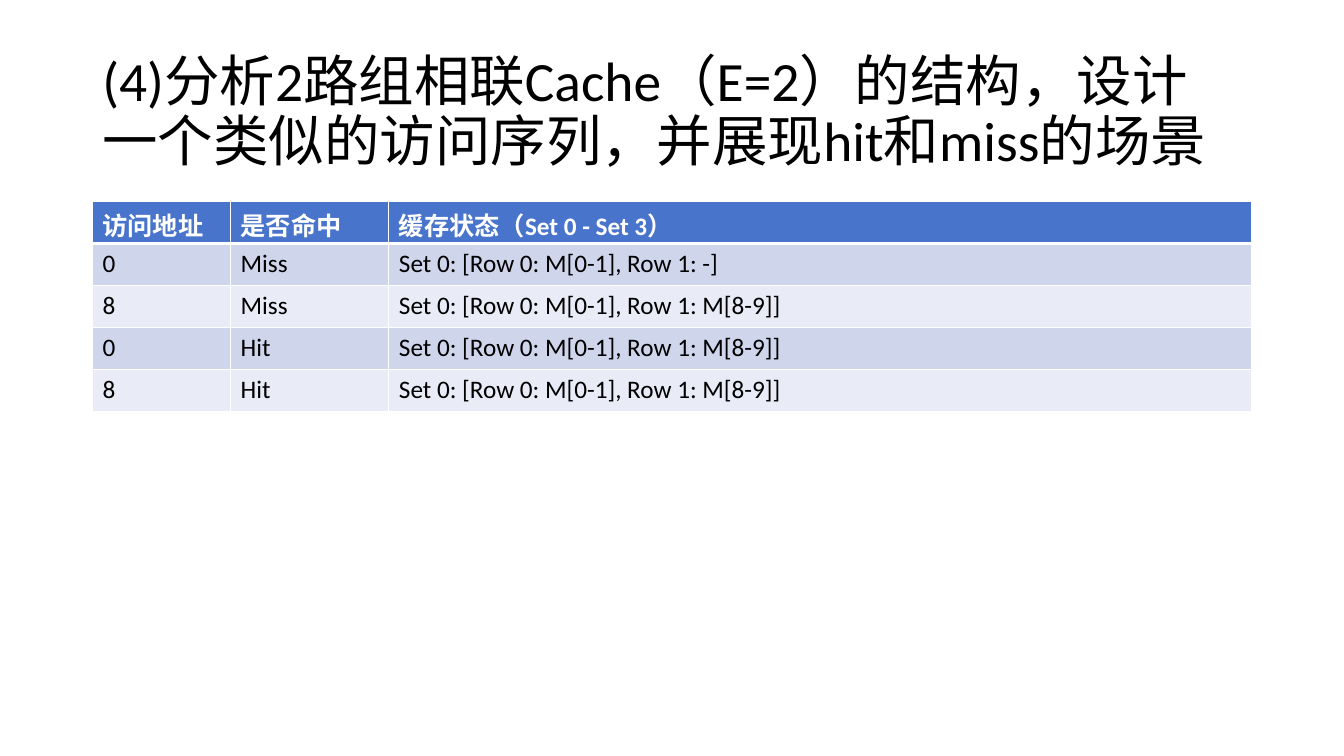
from dataclasses import dataclass

from lxml import etree
from pptx import Presentation
from pptx.dml.color import RGBColor
from pptx.enum import text
from pptx.oxml import ns
from pptx.util import Emu, Inches, Pt

FONT = "Calibri"
BLACK, WHITE = "000000", "FFFFFF"
HEADER_FILL = "4874CB"
BAND_FILLS = ("CFD6EC", "E9EBF6")

# Placement in percent of the slide's width and height
LEFT, WIDTH = 6.88, 86.25
TITLE_TOP, TITLE_HEIGHT = 5.33, 19.33
TABLE_TOP, ROW_HEIGHT = 26.67, 5.55
COLUMN_WIDTHS = (10.28, 11.78, 64.19)

TITLE = "(4)分析2路组相联Cache（E=2）的结构，设计一个类似的访问序列，并展现hit和miss的场景"
HEADINGS = ("访问地址", "是否命中", "缓存状态（Set 0 - Set 3）")


@dataclass
class Access:
    address: int
    result: str
    second_row: str

    def cells(self) -> tuple[str, str, str]:
        state = f"Set 0: [Row 0: M[0-1], Row 1: {self.second_row}]"
        return str(self.address), self.result, state


ACCESSES = (
    Access(0, "Miss", "-"),
    Access(8, "Miss", "M[8-9]"),
    Access(0, "Hit", "M[8-9]"),
    Access(8, "Hit", "M[8-9]"),
)

prs = Presentation()
prs.slide_width, prs.slide_height = Inches(13.33), Inches(7.5)


def across(percent: float) -> Emu:
    return Emu(round(prs.slide_width * percent / 100))


def down(percent: float) -> Emu:
    return Emu(round(prs.slide_height * percent / 100))


def color(value: str) -> RGBColor:
    return RGBColor.from_string(value)


def style_font(p, size: float, value: str, bold: bool = False) -> None:
    p.font.name, p.font.size, p.font.bold = FONT, Pt(size), bold
    p.font.color.rgb = color(value)


def add_borders(cell, top: int, bottom: int) -> None:
    tc_pr = cell._tc.get_or_add_tcPr()
    for side, width in (("L", 1), ("R", 1), ("T", top), ("B", bottom)):
        line = etree.SubElement(tc_pr, ns.qn(f"a:ln{side}"), w=str(Pt(width)))
        fill = etree.SubElement(line, ns.qn("a:solidFill"))
        etree.SubElement(fill, ns.qn("a:srgbClr"), val=WHITE)


def add_title(slide) -> None:
    sp = slide.shapes.add_textbox(across(LEFT), down(TITLE_TOP), across(WIDTH), down(TITLE_HEIGHT))
    tf = sp.text_frame
    tf.word_wrap = True
    tf.vertical_anchor = text.MSO_ANCHOR.MIDDLE
    p = tf.paragraphs[0]
    p.text = TITLE
    p.line_spacing = 0.9
    style_font(p, 39.6, BLACK)


def add_access_table(slide) -> None:
    rows = [HEADINGS, *(access.cells() for access in ACCESSES)]
    table = slide.shapes.add_table(
        len(rows), len(HEADINGS), across(LEFT), down(TABLE_TOP),
        across(WIDTH), down(ROW_HEIGHT * len(rows))).table
    for column, width in zip(table.columns, COLUMN_WIDTHS):
        column.width = across(width)
    for i, values in enumerate(rows):
        table.rows[i].height = down(ROW_HEIGHT)
        header = i == 0
        fill = HEADER_FILL if header else BAND_FILLS[(i - 1) % 2]
        for j, value in enumerate(values):
            cell = table.cell(i, j)
            # A thick rule separates the header from the body
            add_borders(cell, top=3 if i == 1 else 1, bottom=3 if header else 1)
            cell.fill.solid()
            cell.fill.fore_color.rgb = color(fill)
            p = cell.text_frame.paragraphs[0]
            p.text = value
            style_font(p, 18, WHITE if header else BLACK, bold=header)


def main() -> None:
    slide = prs.slides.add_slide(prs.slide_layouts[6])
    add_title(slide)
    add_access_table(slide)
    prs.save("out.pptx")


if __name__ == "__main__":
    main()
